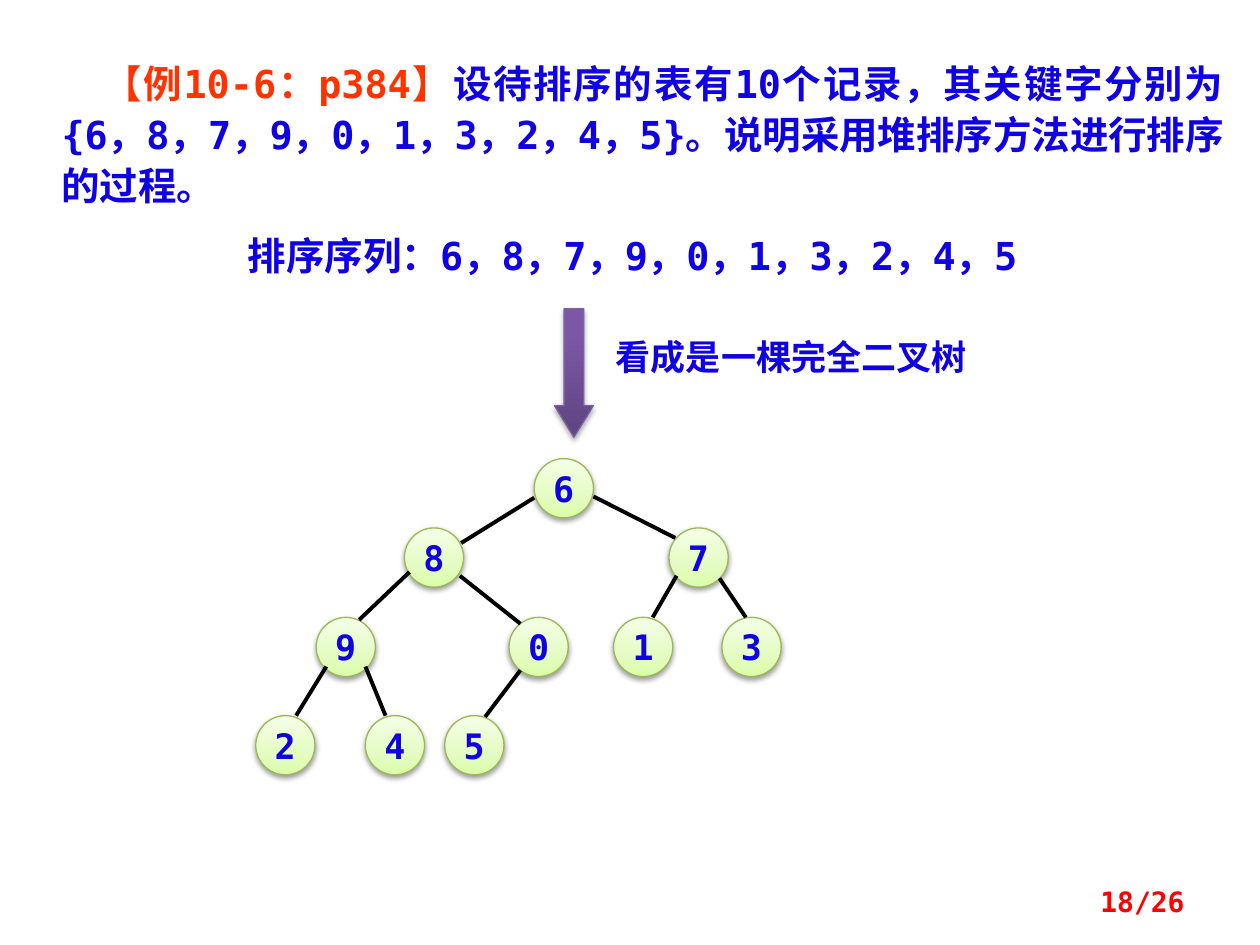
from dataclasses import dataclass

from lxml.etree import SubElement
from pptx import Presentation
from pptx.dml.color import RGBColor
from pptx.enum.lang import MSO_LANGUAGE_ID as Lang
from pptx.enum.shapes import MSO_CONNECTOR as Connector, MSO_SHAPE as Preset
from pptx.enum.text import MSO_ANCHOR as Anchor, MSO_AUTO_SIZE as AutoSize, PP_ALIGN as Align
from pptx.oxml.ns import qn
from pptx.util import Inches, Pt

FONT = "DejaVu Sans Mono"
BLUE, ORANGE, RED, BLACK = "1000E4", "FF3300", "FF0000", "000000"
NODE_SIZE = 0.47


@dataclass(frozen=True)
class Style:
    stops: tuple
    line: str
    shadow_alpha: int
    shadow_distance: float


@dataclass(frozen=True)
class Level:
    top: float
    nodes: tuple


@dataclass(frozen=True)
class Edge:
    parent: tuple
    child: tuple


NODE_STYLE = Style(((0, "DAFDA7"), (35, "E4FCC2"), (100, "F5FFE7")), "98B955", 38, 1.6)
ARROW_STYLE = Style(((0, "5F4480"), (80, "7B58A6"), (100, "7C57A8")), "7D60A0", 35, 1.8)
LEVELS = (
    Level(3.64, (("6", 4.24),)),
    Level(4.19, (("8", 3.21), ("7", 5.31))),
    Level(4.9, (("9", 2.51), ("0", 4.04), ("1", 4.87), ("3", 5.73))),
    Level(5.68, (("2", 2.03), ("4", 2.9), ("5", 3.53))),
)
EDGES = (
    Edge((4.24, 3.95), (3.66, 4.31)),
    Edge((4.71, 3.94), (5.36, 4.27)),
    Edge((3.25, 4.54), (2.85, 4.92)),
    Edge((3.65, 4.57), (4.13, 4.95)),
    Edge((5.37, 4.57), (5.18, 4.9)),
    Edge((5.71, 4.59), (5.92, 4.9)),
    Edge((2.59, 5.29), (2.35, 5.68)),
    Edge((2.9, 5.29), (3.06, 5.68)),
    Edge((4.13, 5.32), (3.85, 5.69)),
)


def color(value: str) -> RGBColor:
    return RGBColor.from_string(value)


def add_run(paragraph, text: str, size: float, ink: str) -> None:
    run = paragraph.add_run()
    run.text = text
    formats = {"name": FONT, "size": Pt(size), "bold": True,
               "language_id": Lang.SIMPLIFIED_CHINESE}
    for attribute, value in formats.items():
        setattr(run.font, attribute, value)
    run.font.color.rgb = color(ink)
    latin = run.font._element.find(qn("a:latin"))
    east_asian = latin.makeelement(qn("a:ea"), {"typeface": FONT})
    latin.addnext(east_asian)


def add_text(slide, box: tuple, runs: tuple, size: float, **formats):
    frame = slide.shapes.add_textbox(*map(Inches, box)).text_frame
    frame.word_wrap = True
    frame.auto_size = AutoSize.SHAPE_TO_FIT_TEXT
    paragraph = frame.paragraphs[0]
    for attribute, value in formats.items():
        setattr(paragraph, attribute, value)
    for text, ink in runs:
        add_run(paragraph, text, size, ink)
    return frame


def add_color_xml(parent, value: str):
    return SubElement(parent, qn("a:srgbClr"), val=value)


def add_styled(slide, preset: Preset, box: tuple, style: Style):
    shape = slide.shapes.add_shape(preset, *map(Inches, box))
    shape.fill.gradient()
    shape.fill.gradient_angle = 90
    stop_list = shape._element.spPr.find(qn("a:gradFill")).find(qn("a:gsLst"))
    for old_stop in list(stop_list):
        stop_list.remove(old_stop)
    for position, value in style.stops:
        add_color_xml(SubElement(stop_list, qn("a:gs"), pos=str(position * 1000)), value)
    shape.line.color.rgb = color(style.line)
    shape.line.width = Pt(0.75)
    shape.shadow.inherit = False
    effects = shape._element.spPr.find(qn("a:effectLst"))
    shadow = SubElement(effects, qn("a:outerShdw"), blurRad=str(Pt(3.1)),
                        dist=str(Pt(style.shadow_distance)), dir="5400000", rotWithShape="0")
    SubElement(add_color_xml(shadow, BLACK), qn("a:alpha"), val=str(style.shadow_alpha * 1000))
    return shape


def add_node(slide, key: str, left: float, top: float) -> None:
    node = add_styled(slide, Preset.OVAL, (left, top, NODE_SIZE, NODE_SIZE), NODE_STYLE)
    frame = node.text_frame
    frame.word_wrap = False
    frame.vertical_anchor = Anchor.MIDDLE
    frame.paragraphs[0].alignment = Align.CENTER
    add_run(frame.paragraphs[0], key, 20, BLUE)


def add_edge(slide, edge: Edge) -> None:
    branch = slide.shapes.add_connector(Connector.STRAIGHT, *map(Inches, edge.parent + edge.child))
    branch.line.color.rgb = color(BLACK)
    branch.line.width = Pt(2.25)
    SubElement(branch._element.spPr, qn("a:effectLst"))


def main() -> None:
    """Build the heap sort example slide with its complete binary tree."""
    deck = Presentation()
    deck.slide_width, deck.slide_height = Inches(10), Inches(7.5)
    slide = deck.slides.add_slide(deck.slide_layouts[6])

    question = (
        ("【例10-6：p384】", ORANGE),
        ("设待排序的表有10个记录，其关键字分别为{6，8，7，9，0，1，3，2，4，5}。"
         "说明采用堆排序方法进行排序的过程。", BLUE),
    )
    problem = add_text(slide, (0.39, 0.39, 9.42, 1.32), question, 22,
                       alignment=Align.JUSTIFY, line_spacing=1.1)
    problem.paragraphs[0]._p.get_or_add_pPr().set("indent", str(Inches(0.33)))
    add_text(slide, (1.87, 1.79, 6.56, 0.47),
             (("排序序列：6，8，7，9，0，1，3，2，4，5", BLUE),), 22)

    for level in LEVELS:
        for key, left in level.nodes:
            add_node(slide, key, left, level.top)
    for edge in EDGES:
        add_edge(slide, edge)

    arrow = add_styled(slide, Preset.DOWN_ARROW, (4.4, 2.45, 0.31, 1.02), ARROW_STYLE)
    arrow.adjustments[0], arrow.adjustments[1] = 0.5, 0.81
    add_text(slide, (4.79, 2.61, 3.94, 0.44), (("看成是一棵完全二叉树", BLUE),), 20)
    page = add_text(slide, (7.17, 6.95, 2.33, 0.4), (("18/26", RED),), 16, alignment=Align.RIGHT)
    page.auto_size = AutoSize.NONE
    page.vertical_anchor = Anchor.MIDDLE

    deck.save("out.pptx")


if __name__ == "__main__":
    main()
